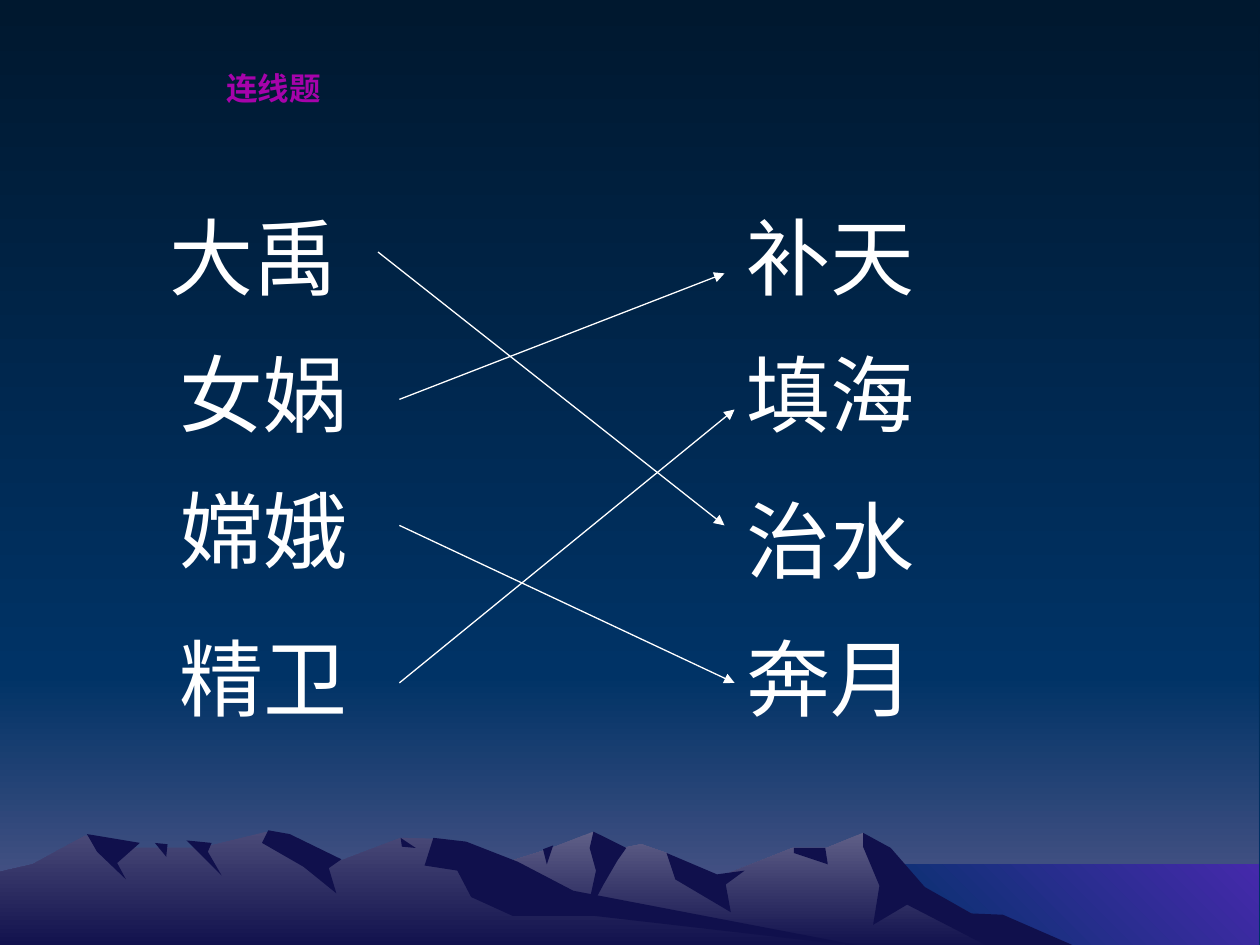
from lxml import etree
from pptx import Presentation, util as u
from pptx.dml.color import RGBColor
from pptx.enum import shapes, text
from pptx.oxml.ns import qn

PX = 9144  # EMU per px, 100 px to the inch
THEME = {
    "night": ("00182F", "003366"), "dusk": ("003366", "5B5B8D"), "lake": ("003366", "4529AB"),
    "far_ridge": ("606088", "10104C"), "near_ridge": ("4A4A78", "10104C"), "shade": "10104C",
    "word": "FFFFFF", "title": "A603AB", "word_size": 48, "title_size": 18,
    "latin": "Arial", "cjk": "Noto Sans CJK SC",
}


def paint(shape_fill, colours, angle=270):
    """Fill with one colour, or with a gradient between two."""
    if isinstance(colours, str):
        shape_fill.solid()
        shape_fill.fore_color.rgb = RGBColor.from_string(colours)
        return
    shape_fill.gradient()
    shape_fill.gradient_angle = angle
    for stop, colour in zip(shape_fill.gradient_stops, colours):
        stop.color.rgb = RGBColor.from_string(colour)


def write(words, left, top, width, height, *, size, colour, font, bold=False,
          align=text.PP_ALIGN.LEFT, wrap=True, fit=text.MSO_AUTO_SIZE.NONE):
    box = slide.shapes.add_textbox(left * PX, top * PX, width * PX, height * PX)
    frame = box.text_frame
    frame.word_wrap, frame.auto_size = wrap, fit
    paragraph = frame.paragraphs[0]
    paragraph.alignment = align
    run = paragraph.add_run()
    run.text = words
    run.font.size, run.font.bold, run.font.name = u.Pt(size), bold, font
    run.font.color.rgb = RGBColor.from_string(colour)
    etree.SubElement(run.font._element, qn("a:ea"), typeface=THEME["cjk"])


prs = Presentation()
prs.slide_width, prs.slide_height = 1000 * PX, 750 * PX
slide = prs.slides.add_slide(prs.slide_layouts[6])
paint(slide.background.fill, THEME["night"])

# Sky and lake bands all end at the right edge
for tone, left, top, bottom, angle in [
        ("dusk", 0, 536, 752, 270), ("night", 0, 2, 536, 270), ("lake", 683, 686, 752, 45)]:
    band = slide.shapes.add_shape(
        shapes.MSO_SHAPE.RECTANGLE, left * PX, top * PX, (999 - left) * PX, (bottom - top) * PX)
    band.shadow.inherit = False
    band.line.fill.background()
    paint(band.fill, THEME[tone], angle)

# Mountains from back to front, each ridge followed by its shaded slopes
mountains = [
    ("far_ridge", [
        (258, 753), (327, 711), (394, 687), (438, 673), (471, 660), (485, 675), (509, 670),
        (529, 677), (566, 698), (629, 673), (656, 673), (685, 661), (723, 699), (821, 753)]),
    ("shade", [
        (685, 661), (707, 673), (734, 704), (771, 725), (796, 726), (858, 753), (788, 753),
        (720, 718), (693, 734), (698, 703), (685, 672)]),
    ("shade", [(471, 660), (497, 673), (490, 683), (479, 702), (465, 728), (473, 691), (468, 673)]),
    ("shade", [(529, 677), (569, 694), (591, 691), (576, 702), (580, 724), (536, 698)]),
    ("shade", [(630, 673), (655, 673), (657, 686), (630, 677)]),
    ("shade", [(431, 674), (439, 671), (434, 686)]),
    ("near_ridge", [
        (0, 753), (0, 692), (26, 686), (68, 663), (94, 673), (160, 673), (212, 660),
        (271, 683), (318, 665), (354, 666), (432, 714), (690, 753)]),
    ("shade", [
        (213, 659), (230, 662), (271, 682), (261, 689), (267, 709), (241, 688), (208, 669)]),
    ("shade", [
        (344, 665), (370, 668), (411, 684), (455, 707), (690, 752), (472, 727), (407, 727),
        (374, 712), (363, 691), (337, 687)]),
    ("shade", [(318, 665), (330, 673), (319, 672)]),
    ("shade", [(148, 667), (168, 669), (165, 676), (176, 695)]),
    ("shade", [(123, 669), (133, 670), (132, 680)]),
    ("shade", [(69, 662), (111, 669), (93, 685), (100, 698), (77, 676)]),
]
for tone, outline in mountains:
    builder = slide.shapes.build_freeform(*outline[0], scale=PX)
    builder.add_line_segments(outline[1:], close=True)
    slope = builder.convert_to_shape()
    slope.shadow.inherit = False
    slope.line.fill.background()
    paint(slope.fill, THEME[tone])

# Heroes on the left, deeds on the right
matching_words = [
    ("大禹", 125, 158), ("女娲", 133, 267), ("嫦娥", 133, 375), ("精卫", 133, 492),
    ("补天", 583, 158), ("填海", 583, 267), ("治水", 583, 383), ("奔月", 583, 492),
]
for word, left, top in matching_words:
    write(word, left, top, 175, 90, size=THEME["word_size"], colour=THEME["word"],
          font=THEME["latin"], fit=text.MSO_AUTO_SIZE.SHAPE_TO_FIT_TEXT)

answers = [(300, 200, 575, 417), (317, 317, 575, 217), (317, 417, 583, 542), (317, 542, 583, 325)]
for ends in answers:
    arrow = slide.shapes.add_connector(
        shapes.MSO_CONNECTOR.STRAIGHT, *(end * PX for end in ends))
    arrow.line.width = u.Pt(0.75)
    arrow.line.color.rgb = RGBColor.from_string(THEME["word"])
    etree.SubElement(arrow.line._get_or_add_ln(), qn("a:tailEnd"), type="triangle")
    etree.SubElement(arrow._element.spPr, qn("a:effectLst"))

write("连线题", 67, 50, 300, 92, size=THEME["title_size"], colour=THEME["title"],
      font=THEME["cjk"], bold=True, align=text.PP_ALIGN.CENTER, wrap=False)

prs.save("out.pptx")
